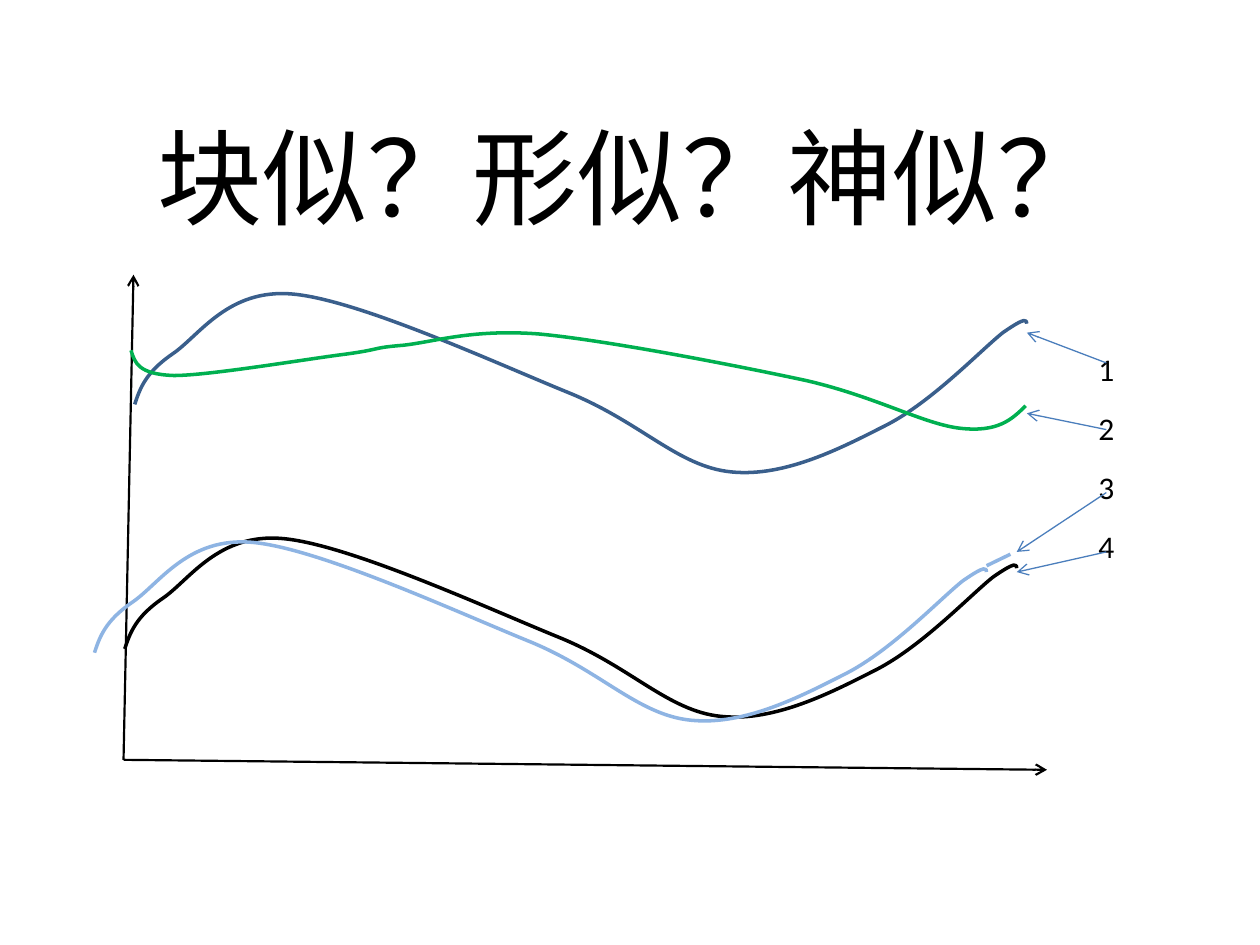
"""Build a slide comparing four curves by similarity of block, form and spirit."""
from dataclasses import dataclass
from typing import Any

from lxml.etree import SubElement
from pptx import Presentation
from pptx.dml.color import RGBColor
from pptx.enum.shapes import MSO_CONNECTOR as Connector
from pptx.enum.text import MSO_ANCHOR as Anchor, MSO_AUTO_SIZE as AutoSize, PP_ALIGN as Align
from pptx.oxml.ns import qn
from pptx.util import Pt

Point = tuple[float, float]
Bezier = tuple[Point, Point, Point]

COLORS = {
    "ink": "000000",
    "navy": "3A5F8C",
    "green": "00B050",
    "sky": "8EB4E3",
    "pointer": "4B7EBC",
}

WAVE: list[Bezier] = [
    ((3, -9.2), (6.4, -18.4), (21.6, -28.8)),
    ((37, -39.2), (53.3, -66.6), (90.7, -63)),
    ((128.4, -59.4), (205.9, -23.8), (247.6, -6.8)),
    ((289.4, 10.1), (310.3, 35.6), (340.9, 38.6)),
    ((371.9, 41.8), (404.6, 24.5), (430.2, 11.5)),
    ((456.3, -2.2), (483.1, -30.6), (496.1, -41)),
    ((509.6, -50.4), (509.7, -48.2), (509.7, -46.1)),
]
FLAT_WAVE: list[Bezier] = [
    ((2.2, 7.2), (4.3, 13.7), (24.5, 14.4)),
    ((44.6, 14.4), (100.1, 5), (122.4, 2.2)),
    ((144, -0.7), (136.8, -1.4), (155.5, -2.9)),
    ((174.2, -5), (194.4, -12.2), (232.6, -9.4)),
    ((271.4, -5.8), (345.6, 8.6), (385.9, 17.3)),
    ((426.2, 26.6), (453.6, 42.5), (474.5, 44.6)),
    ((495.4, 46.8), (503.3, 39.6), (511.2, 31.7)),
]
EXTENSION: list[Bezier] = [((4.5, -2.2), (9.1, -4.4), (13.6, -6.6))]


@dataclass(frozen=True)
class Curve:
    start: Point
    segments: list[Bezier]
    color: str


@dataclass(frozen=True)
class Arrow:
    start: Point
    end: Point
    color: str
    width: float


ORIGIN = (70.6, 434.2)
AXES = [Arrow(ORIGIN, end, "ink", 1.25) for end in ((76.3, 157), (598.3, 439.9))]
MAIN_CURVES = [
    Curve((71.3, 370.8), WAVE, "ink"),
    Curve((77, 231.1), WAVE, "navy"),
    Curve((74.9, 200.2), FLAT_WAVE, "green"),
]
SHIFTED_CURVES = [
    Curve((54, 373), WAVE, "sky"),
    Curve((563.8, 323.3), EXTENSION, "sky"),
]
POINTERS = [
    Arrow((632.2, y), end, "pointer", 0.75)
    for y, end in (
        (207.4, (586.8, 190.1)),
        (245.5, (586.8, 236.2)),
        (281.5, (581, 315.4)),
        (315.4, (581, 326.9)),
    )
]


def apply(target: Any, values: dict[str, Any]) -> None:
    for key, value in values.items():
        setattr(target, key, value)


def rgb(color: str) -> RGBColor:
    return RGBColor.from_string(COLORS[color])


def style_line(line: Any, color: str, width: float) -> None:
    line.fill.solid()
    line.fill.fore_color.rgb = rgb(color)
    line.width = Pt(width)


def style_text(paragraph: Any, size: float) -> None:
    apply(paragraph.font, {"name": "Calibri", "size": Pt(size)})
    paragraph.font.color.rgb = rgb("ink")


def draw_arrow(shapes: Any, arrow: Arrow) -> None:
    ends = [Pt(value) for value in (*arrow.start, *arrow.end)]
    connector = shapes.add_connector(Connector.STRAIGHT, *ends)
    style_line(connector.line, arrow.color, arrow.width)
    properties = connector.element.spPr
    SubElement(properties.find(qn("a:ln")), qn("a:tailEnd"), type="arrow")
    SubElement(properties, qn("a:effectLst"))


def draw_curve(shapes: Any, curve: Curve) -> None:
    x, y = curve.start
    segments = [[(Pt(x + dx), Pt(y + dy)) for dx, dy in part] for part in curve.segments]
    builder = shapes.build_freeform(Pt(x), Pt(y))
    builder.add_line_segments([part[-1] for part in segments], close=False)
    outline = builder.convert_to_shape()
    outline.fill.background()
    outline.shadow.inherit = False
    style_line(outline.line, curve.color, 2)
    for step, part in zip(list(outline.element.iter(qn("a:lnTo"))), segments):
        path = step.getparent()
        bezier = SubElement(path, qn("a:cubicBezTo"))
        for px, py in part:
            SubElement(bezier, qn("a:pt"), x=str(px - outline.left), y=str(py - outline.top))
        path.replace(step, bezier)


def main() -> None:
    deck = Presentation()
    apply(deck, {"slide_width": Pt(720), "slide_height": Pt(540)})
    slide = deck.slides.add_slide(deck.slide_layouts[5])
    shapes = slide.shapes

    heading = shapes.title
    apply(heading, {"left": Pt(36), "top": Pt(55.4), "width": Pt(648), "height": Pt(90)})
    heading.text_frame.text = "块似？形似？神似？"
    heading.text_frame.vertical_anchor = Anchor.MIDDLE
    heading.text_frame.paragraphs[0].alignment = Align.CENTER
    style_text(heading.text_frame.paragraphs[0], 60)

    for axis in AXES:
        draw_arrow(shapes, axis)
    for curve in MAIN_CURVES:
        draw_curve(shapes, curve)

    numbers = shapes.add_textbox(Pt(620.6), Pt(196.6), Pt(39.6), Pt(131)).text_frame
    apply(numbers, {"word_wrap": True, "auto_size": AutoSize.SHAPE_TO_FIT_TEXT})
    numbers.text = "1\n2\n3\n4"
    for number in numbers.paragraphs:
        number.space_before = Pt(12)
        style_text(number, 18)

    for pointer in POINTERS:
        draw_arrow(shapes, pointer)
    for curve in SHIFTED_CURVES:
        draw_curve(shapes, curve)
    deck.save("out.pptx")


main()
